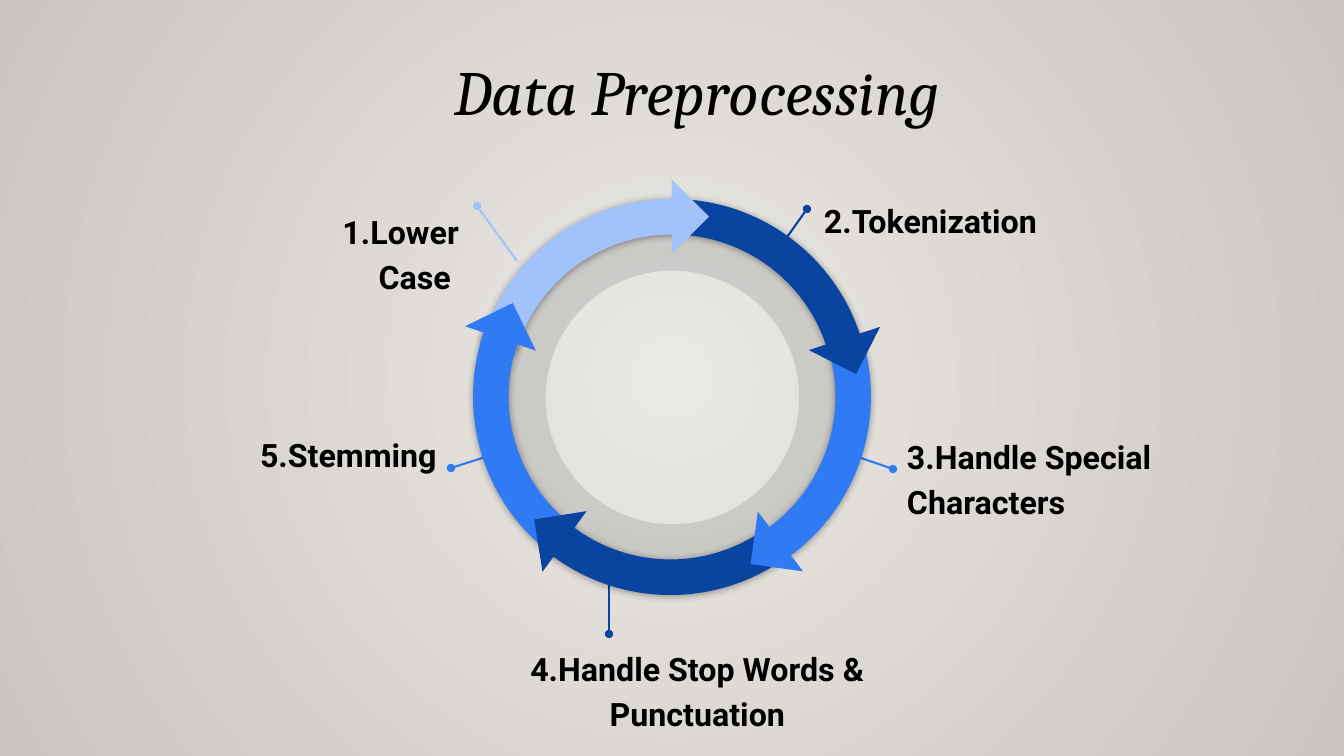
from dataclasses import dataclass

from lxml import etree
from pptx import Presentation
from pptx import util as u
from pptx.dml.color import RGBColor
from pptx.enum import shapes, text
from pptx.oxml import ns

EMU_PER_PX = 914400 / 100.8
ALIGN = text.PP_ALIGN
PRESET = shapes.MSO_SHAPE


@dataclass(frozen=True)
class Theme:
    ink: str = "000000"
    navy: str = "0944A1"
    blue: str = "307BF3"
    sky: str = "A1C3FA"
    centre: str = "EBE9E6"
    edge: str = "C9C5C0"
    title_font: str = "Cambria"
    label_font: str = "Roboto"
    title_size: int = 45
    label_size: int = 23


THEME = Theme()

# Callouts: label, colour, line (dot end, ring end), box, alignment, top inset
CALLOUTS = [
    ("2.Tokenization", THEME.navy, (807, 209, 768, 264), (811, 164, 264, 99), ALIGN.LEFT, 32),
    ("1.Lower Case ", THEME.sky, (477, 206, 517, 261), (252, 160, 220, 99), ALIGN.RIGHT, 47),
    ("3.Handle Special Characters", THEME.blue, (893, 469, 829, 447), (894, 419, 324, 99), ALIGN.LEFT, 13),
    ("5.Stemming", THEME.blue, (451, 468, 517, 447), (230, 417, 220, 99), ALIGN.RIGHT, 13),
    ("4.Handle Stop Words & Punctuation", THEME.navy, (609, 634, 609, 562), (498, 631, 399, 99), ALIGN.CENTER, 13),
]

# Ring arcs: colour, left, top, rotation, mirrored, start and end degrees, thickness
ARCS = [
    (THEME.navy, 475, 199, 30, False, 240.24, 316.64, 0.09),
    (THEME.blue, 476, 199, 210, True, 336.31, 43.73, 0.09),
    (THEME.sky, 474, 199, 330, True, 238.9, 314.25, 0.09),
    (THEME.blue, 473, 199, 150, False, 336.41, 50.12, 0.09),
    (THEME.navy, 473, 200, 210, True, 262.31, 333.47, 0.09),
]
ARC_SIZE = 395

# Arrowheads: colour, left, top, rotation
HEADS = [
    (THEME.navy, 818, 312, 297),
    (THEME.blue, 474, 312, 154),
    (THEME.blue, 754, 515, 7.9),
    (THEME.navy, 538, 515, 81),
    (THEME.sky, 645, 190, 225),
]
HEAD_SIZE = 53


def px(*lengths):
    return [u.Emu(round(length * EMU_PER_PX)) for length in lengths]


def rgb(colour):
    return RGBColor.from_string(colour)


def add_xml(parent, tag, **attributes):
    child = etree.SubElement(parent, ns.qn(tag))
    for name, value in attributes.items():
        child.set(name, str(value))
    return child


def paint_background(page):
    fill = page.background.fill
    fill.gradient()
    for stop, colour, position in zip(fill.gradient_stops, (THEME.centre, THEME.edge), (0, 1)):
        stop.color.rgb = rgb(colour)
        stop.position = position
    gradient = page.background._cSld.find(".//" + ns.qn("a:gradFill"))
    gradient.remove(gradient.find(ns.qn("a:lin")))
    circle = add_xml(gradient, "a:path", path="circle")
    add_xml(circle, "a:fillToRect", l=50000, t=50000, r=50000, b=50000)


def set_title(page, words):
    title = page.shapes.title
    title.left, title.top, title.width, title.height = px(168, 56, 1058, 116)
    frame = title.text_frame
    frame.text = words
    frame.vertical_anchor = text.MSO_ANCHOR.TOP
    frame.auto_size = text.MSO_AUTO_SIZE.NONE
    para = frame.paragraphs[0]
    para.alignment = ALIGN.CENTER
    para.line_spacing = 0.9
    para.font.name = THEME.title_font
    para.font.size = u.Pt(THEME.title_size)
    para.font.italic = True
    para.font.color.rgb = rgb(THEME.ink)


def add_solid(page, preset, box, colour, rotation=0):
    shape = page.shapes.add_shape(preset, *px(*box))
    shape.shadow.inherit = False
    shape.fill.solid()
    shape.fill.fore_color.rgb = rgb(colour)
    shape.line.fill.background()
    shape.rotation = rotation
    return shape


def add_inner_ring(page):
    ring = add_solid(page, PRESET.DONUT, (486, 211, 373, 373), THEME.ink)
    ring.adjustments[0] = 0.16
    colour = ring._element.spPr.find(ns.qn("a:solidFill"))[0]
    add_xml(colour, "a:alpha", val=11000)


def add_arc(page, colour, left, top, rotation, mirrored, start, end, thickness):
    arc = add_solid(page, PRESET.BLOCK_ARC, (left, top, ARC_SIZE, ARC_SIZE), colour, rotation)
    # Angles are stored in 60000ths of a degree, adjustments in 100000ths
    for index, value in enumerate((start * 0.6, end * 0.6, thickness)):
        arc.adjustments[index] = value
    properties = arc._element.spPr
    if mirrored:
        properties.find(ns.qn("a:xfrm")).set("flipH", "1")
    effects = properties.find(ns.qn("a:effectLst"))
    shadow = add_xml(effects, "a:outerShdw", blurRad=u.Pt(5.6), dist=u.Pt(0.8),
                     dir=5400000, rotWithShape=0)
    shade = add_xml(shadow, "a:srgbClr", val=THEME.ink)
    add_xml(shade, "a:alpha", val=40000)


def add_callout(page, label, colour, ends, box, alignment, top_inset):
    group = page.shapes.add_group_shape()
    # Leader line with a dot
    line = group.shapes.add_connector(shapes.MSO_CONNECTOR.STRAIGHT, *px(*ends))
    line.line.color.rgb = rgb(colour)
    line.line.width = u.Pt(1.5)
    add_xml(line.line._get_or_add_ln(), "a:headEnd", type="oval")
    add_xml(line._element.spPr, "a:effectLst")
    # Label
    frame = group.shapes.add_textbox(*px(*box)).text_frame
    frame.word_wrap = True
    frame.margin_left, frame.margin_top, frame.margin_right, frame.margin_bottom = px(
        13, top_inset, 13, 13)
    frame.text = label
    para = frame.paragraphs[0]
    para.alignment = alignment
    para.line_spacing = 1.15
    para.font.name = THEME.label_font
    para.font.size = u.Pt(THEME.label_size)
    para.font.bold = True
    para.font.color.rgb = rgb(THEME.ink)


def main():
    deck = Presentation()
    deck.slide_width, deck.slide_height = px(1344, 756)
    page = deck.slides.add_slide(deck.slide_layouts.get_by_name("Title Only"))
    paint_background(page)
    set_title(page, "Data Preprocessing")

    # Cycle, with the callouts beneath the ring
    add_inner_ring(page)
    for callout in CALLOUTS:
        add_callout(page, *callout)
    for arc in ARCS:
        add_arc(page, *arc)
    for colour, left, top, rotation in HEADS:
        add_solid(page, PRESET.RIGHT_TRIANGLE, (left, top, HEAD_SIZE, HEAD_SIZE), colour, rotation)

    deck.save("out.pptx")


if __name__ == "__main__":
    main()
